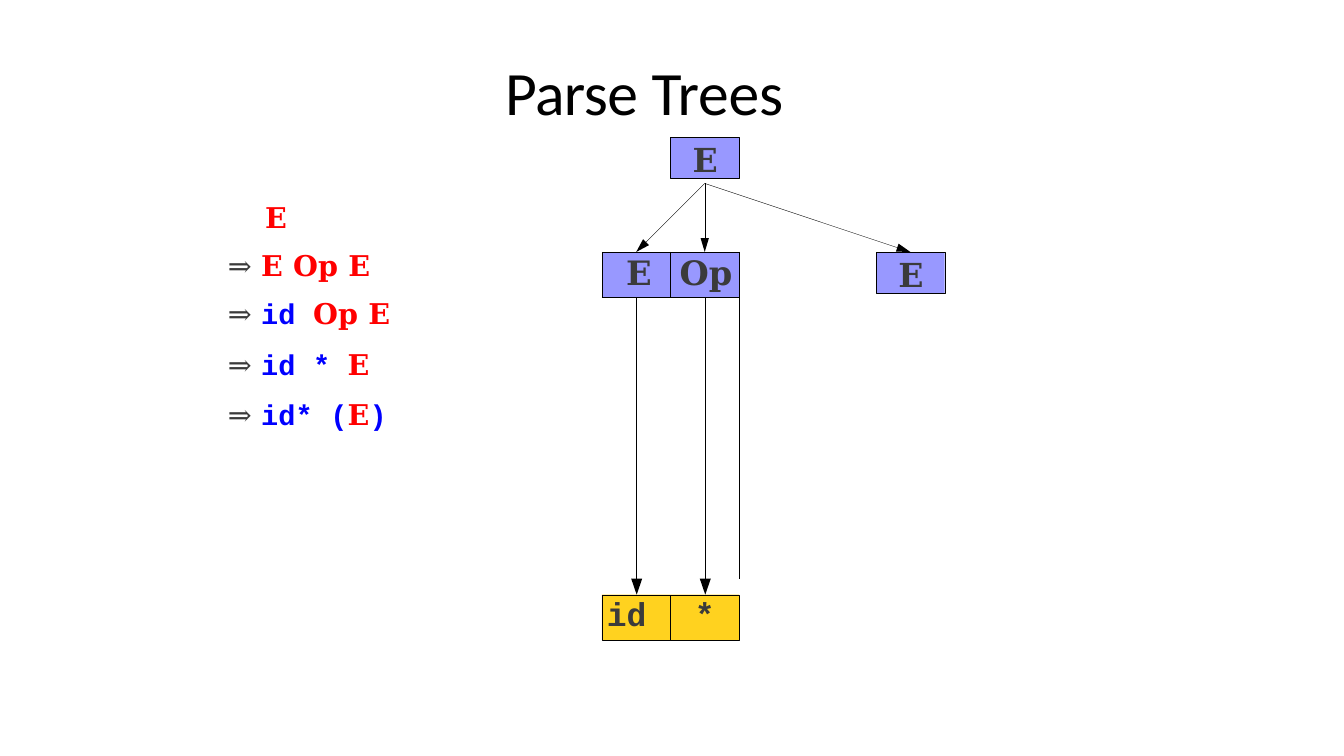
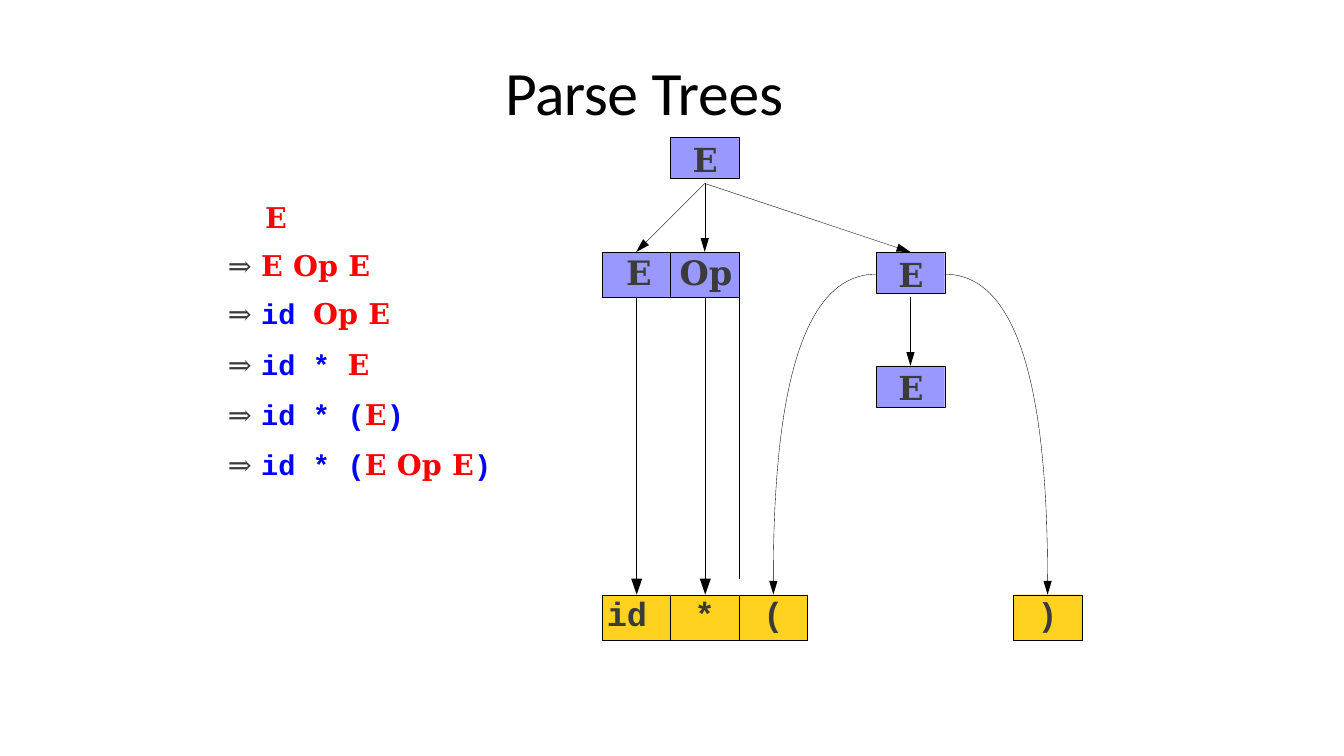
from lxml import etree
from pptx import Presentation
from pptx.dml.color import RGBColor
from pptx.enum.shapes import MSO_CONNECTOR, MSO_SHAPE
from pptx.enum.text import MSO_ANCHOR, PP_ALIGN
from pptx.oxml.ns import qn
from pptx.util import Inches, Pt

RECTANGLE, DOWN_TRIANGLE = MSO_SHAPE.RECTANGLE, MSO_SHAPE.FLOWCHART_MERGE
STRAIGHT = MSO_CONNECTOR.STRAIGHT
TOP, MIDDLE = MSO_ANCHOR.TOP, MSO_ANCHOR.MIDDLE
LEFT, CENTER = PP_ALIGN.LEFT, PP_ALIGN.CENTER

COLORS = {"black": "000000", "text": "3B3B3B", "node": "9898FF",
          "leaf": "FFD21F", "symbol": "FF0000", "code": "0000FF"}
SERIF, MONO = "DejaVu Serif", "Courier New"
FORMATS = {
    "title": {"name": "Calibri", "size": Pt(44), "bold": False},
    "node": {"name": SERIF, "size": Pt(23.6), "bold": True},
    "head": {"name": SERIF, "size": Pt(24), "bold": True},
    "leaf": {"name": MONO, "size": Pt(23.6), "bold": True},
    "leaf cell": {"name": MONO, "size": Pt(24), "bold": True},
    "arrow": {"name": SERIF, "size": Pt(20.4), "bold": False},
    "symbol": {"name": SERIF, "size": Pt(20.4), "bold": True},
    "code": {"name": MONO, "size": Pt(20.4), "bold": True},
}
THIN = Pt(0.25)

# Tree grid, relative to the left and top of the tree
CELL, NODE_HEIGHT, LEAF_HEIGHT = 0.68, 0.41, 0.45
HEAD_TOP, INNER_TOP, LEAF_TOP = 1.14, 2.27, 4.54
LINE_END = LEAF_TOP - 0.16

# Derivation steps as (kind, text) spans
ARROW = ("arrow", "⇒ ")
SHARED_STEPS = [
    [("symbol", "E")],
    [ARROW, ("symbol", "E Op E")],
    [ARROW, ("code", "id "), ("symbol", "Op E")],
    [ARROW, ("code", "id * "), ("symbol", "E")],
]


def rgb(name):
    return RGBColor.from_string(COLORS[name])


def prepare_frame(frame, top=0, anchor=TOP):
    values = {"margin_left": 0, "margin_right": 0, "margin_bottom": 0,
              "margin_top": Inches(top), "vertical_anchor": anchor, "word_wrap": True}
    for name, value in values.items():
        setattr(frame, name, value)


def format_para(para, indent=0, before=0, align=LEFT, line=None):
    values = {"alignment": align, "space_before": Pt(before), "line_spacing": line}
    for name, value in values.items():
        setattr(para, name, value)
    para._p.get_or_add_pPr().set("marL", str(Inches(indent)))


def add_span(para, text, kind, color="text", spacing=0):
    span = para.add_run()
    span.text = text
    for name, value in FORMATS[kind].items():
        setattr(span.font, name, value)
    span.font.color.rgb = rgb(color)
    span.font._element.set("spc", str(spacing))


def thin_line(line):
    line.color.rgb = rgb("black")
    line.width = THIN


def add_arrowhead(line):
    etree.SubElement(line._get_or_add_ln(), qn("a:tailEnd"), type="triangle", w="med", len="lg")


def add_title(page, left, top, width, height):
    box = page.shapes.add_textbox(Inches(left), Inches(top), Inches(width), Inches(height))
    prepare_frame(box.text_frame, 0.01, MIDDLE)
    para = box.text_frame.paragraphs[0]
    format_para(para, 0.01, 0.9)
    add_span(para, "Parse ", "title", "black", -40)
    add_span(para, "Trees", "title", "black", -10)


def add_derivation(page, steps, left, top, width, height):
    box = page.shapes.add_textbox(Inches(left), Inches(top), Inches(width), Inches(height))
    prepare_frame(box.text_frame, 0.15)
    for index, step in enumerate(steps):
        para = box.text_frame.paragraphs[0] if index == 0 else box.text_frame.add_paragraph()
        before = 10.9 if index == 0 else 10.1 if index < 3 else 11.3
        format_para(para, 0.01 if index else 0.38, before)
        for kind, text in step:
            add_span(para, text, kind, "text" if kind == "arrow" else kind, 10)


def add_block(page, left, top, height, color):
    block = page.shapes.add_shape(RECTANGLE, Inches(left), Inches(top), Inches(CELL), Inches(height))
    block.shadow.inherit = False
    block.fill.solid()
    block.fill.fore_color.rgb = rgb(color)
    thin_line(block.line)
    return block


def add_node(page, left, top):
    node = add_block(page, left, top, NODE_HEIGHT, "node")
    prepare_frame(node.text_frame, 0.02)
    para = node.text_frame.paragraphs[0]
    format_para(para, 0.22, 1.1)
    add_span(para, "E", "node")


def add_leaf(page, left, top, text):
    leaf = add_block(page, left, top, LEAF_HEIGHT, "leaf")
    prepare_frame(leaf.text_frame, 0.03)
    write_leaf(leaf.text_frame.paragraphs[0], text, "leaf", 25.3)


def write_leaf(para, text, kind, line):
    is_id = text == "id"
    format_para(para, 0.05 if is_id else 0, align=LEFT if is_id else CENTER, line=Pt(line))
    add_span(para, text, kind, spacing=-10 if is_id else 0)


def add_arrow(page, x1, y1, x2, y2):
    arrow = page.shapes.add_connector(STRAIGHT, Inches(x1), Inches(y1), Inches(x2), Inches(y2))
    thin_line(arrow.line)
    add_arrowhead(arrow.line)
    etree.SubElement(arrow._element.spPr, qn("a:effectLst"))


def add_curve(page, x1, y1, x2, y2, tip):
    """Quadratic curve that leaves sideways and arrives from above."""
    steps = [index / 40 for index in range(1, 41)]
    points = [(x2 + (x1 - x2) * (1 - t) ** 2, y1 + (y2 - y1) * t ** 2) for t in steps]
    builder = page.shapes.build_freeform(Inches(x1), Inches(y1))
    builder.add_line_segments([(Inches(x), Inches(y)) for x, y in points + [(x2, tip)]], close=False)
    curve = builder.convert_to_shape()
    curve.shadow.inherit = False
    curve.fill.background()
    thin_line(curve.line)
    add_arrowhead(curve.line)


def add_tip(page, center, top):
    tip = page.shapes.add_shape(DOWN_TRIANGLE, Inches(center - 0.05), Inches(top), Inches(0.11), Inches(0.16))
    tip.shadow.inherit = False
    tip.fill.solid()
    tip.fill.fore_color.rgb = rgb("black")
    tip.line.fill.background()


def new_table(page, left, top, column_width, columns, heights):
    frame = page.shapes.add_table(len(heights), columns, Inches(left), Inches(top),
                                  Inches(column_width * columns), Inches(sum(heights)))
    table = frame.table
    table.first_row = table.horz_banding = False
    for column in table.columns:
        column.width = Inches(column_width)
    for row, height in zip(table.rows, heights):
        row.height = Inches(height)
    return table


def format_cell(cell, sides, color=None, top=0):
    """Draw the named sides, then fill the cell."""
    properties = cell._tc.get_or_add_tcPr()
    for side in "LRTB":
        border = etree.SubElement(properties, qn("a:ln" + side), w=str(THIN))
        if side in sides:
            fill = etree.SubElement(border, qn("a:solidFill"))
            etree.SubElement(fill, qn("a:srgbClr"), val=COLORS["black"])
        else:
            etree.SubElement(border, qn("a:noFill"))
    if color:
        cell.fill.solid()
        cell.fill.fore_color.rgb = rgb(color)
    else:
        cell.fill.background()
    values = {"margin_left": 0, "margin_right": 0, "margin_top": Inches(top), "margin_bottom": 0}
    for name, value in values.items():
        setattr(cell, name, value)


def add_head_table(page, left, top):
    """E and Op, with the lines that lead down to their leaves."""
    table = new_table(page, left, top, CELL / 2, 4, [LEAF_HEIGHT, LINE_END - HEAD_TOP - LEAF_HEIGHT])
    for column, sides in enumerate(["TR", "TLR", "TLR", "TLR"]):
        format_cell(table.cell(0, column), "LRTB", "node", 0.02)
        format_cell(table.cell(1, column), sides)
    for row, first in [(0, 0), (0, 2), (1, 1)]:
        table.cell(row, first).merge(table.cell(row, first + 1))
    for column, text, indent in [(0, "E", 0.24), (2, "Op", 0.09)]:
        para = table.cell(0, column).text_frame.paragraphs[0]
        format_para(para, indent, 1.2)
        add_span(para, text, "head")


def add_leaf_table(page, left, top, texts):
    table = new_table(page, left, top, CELL, len(texts), [LEAF_HEIGHT])
    for column, text in enumerate(texts):
        cell = table.cell(0, column)
        format_cell(cell, "LRTB", "leaf")
        write_leaf(cell.text_frame.paragraphs[0], text, "leaf cell", 30.2)


def add_tree(page, left, top, expanded):
    columns = [left + CELL * index for index in range(7)]
    centers = [x + CELL / 2 for x in columns]
    head, leaves = top + HEAD_TOP, top + LEAF_TOP

    # Root and its children
    add_node(page, columns[1], top)
    add_node(page, columns[4], head)
    for index in (1, 0, 4):
        add_arrow(page, centers[1], top + 0.46, centers[index], head)
    add_head_table(page, left, head)

    # Leaves
    if expanded:
        add_leaf_table(page, left, leaves, ["id", "*", "("])
        add_leaf(page, columns[6], leaves, ")")
    else:
        for x, text in zip(columns, ["id", "*"]):
            add_leaf(page, x, leaves, text)
    for center in centers[:2]:
        add_tip(page, center, top + LINE_END)

    # Bracketed expression
    if expanded:
        add_node(page, columns[4], top + INNER_TOP)
        add_arrow(page, centers[4], head + 0.45, centers[4], top + INNER_TOP)
        for start, end in [(columns[4], centers[2]), (columns[5], centers[6])]:
            add_curve(page, start, head + 0.22, end, top + LINE_END, leaves)


def add_page(deck, steps, width, height, expanded):
    page = deck.slides.add_slide(deck.slide_layouts[6])
    add_title(page, 5, 0.52, 3.33, 0.75)
    add_derivation(page, steps, 2.25, 1.83, width, height)
    add_tree(page, 5.97, 1.36, expanded)


deck = Presentation()
deck.slide_width, deck.slide_height = Inches(13.33), Inches(7.5)
add_page(deck, SHARED_STEPS + [
    [ARROW, ("code", "id* ("), ("symbol", "E"), ("code", ")")],
], 1.98, 2.46, expanded=False)
add_page(deck, SHARED_STEPS + [
    [ARROW, ("code", "id * ("), ("symbol", text), ("code", ")")] for text in ("E", "E Op E")
], 2.83, 2.96, expanded=True)
deck.save("out.pptx")
